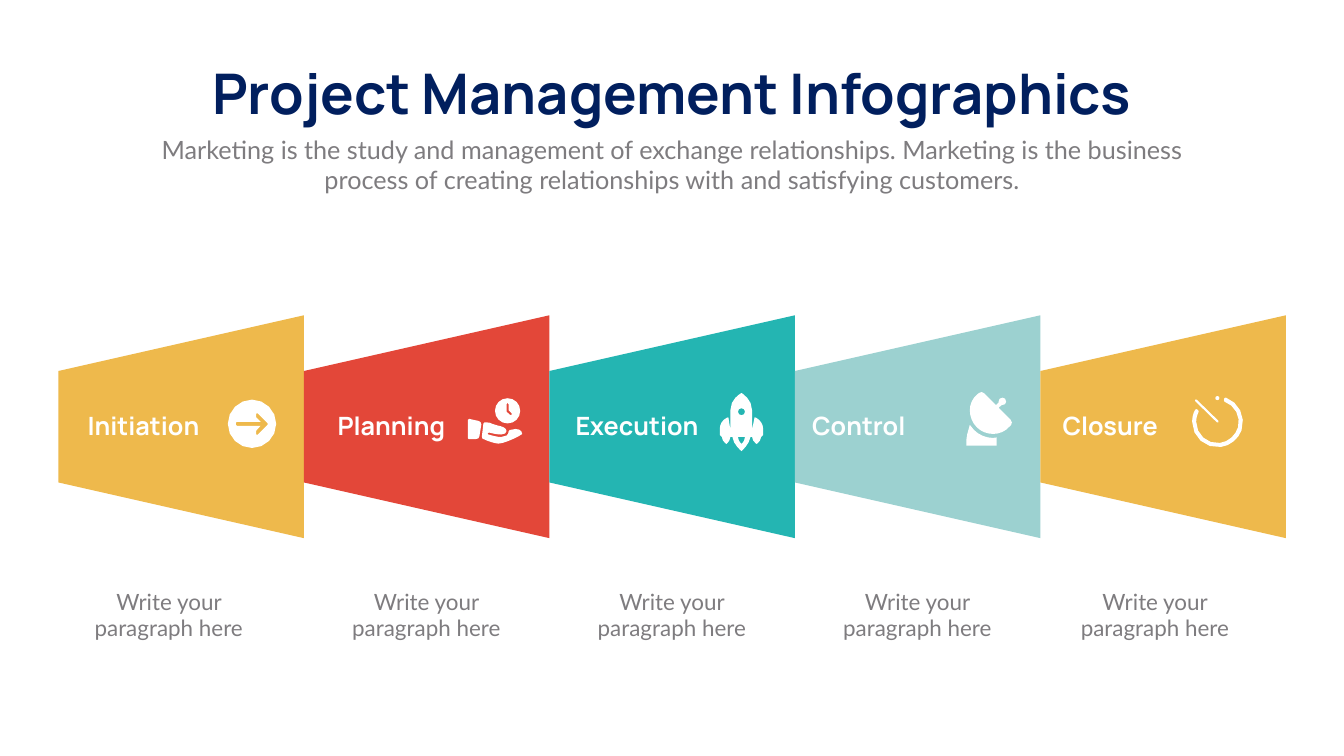
from dataclasses import dataclass
from math import ceil, dist

from pptx import Presentation
from pptx.dml.color import RGBColor
from pptx.enum.shapes import MSO_SHAPE as Preset
from pptx.enum.text import MSO_ANCHOR as Anchor, MSO_AUTO_SIZE as AutoSize, PP_ALIGN as Align
from pptx.util import Cm, Pt


@dataclass(frozen=True)
class Theme:
    navy: str = "011F5E"
    grey: str = "7E7C7F"
    white: str = "FFFFFF"
    yellow: str = "EEB94C"
    red: str = "E34739"
    teal: str = "24B5B2"
    aqua: str = "9CD1D0"
    heading_font: str = "Manrope"
    body_font: str = "Lato"
    title_size: int = 80
    lead_size: int = 36
    label_size: int = 36
    caption_size: int = 32


@dataclass(frozen=True)
class Step:
    label: str
    color: str
    label_left: float
    label_width: float
    label_align: Align
    caption_left: float
    icon_at: tuple
    icon: tuple


THEME = Theme()
ICON_UNIT = 0.0254
CHORD = 6
MAX_CHORDS = 4
POINT_COUNT = {"M": 1, "L": 1, "C": 3}

ARROW_DISC = (
    "M 0 48 C 0 75 22 96 48 96 C 74 96 96 75 96 48 C 96 22 74 0 48 0 C 22 0 0 22 0 48 "
    "M 59 27 L 79 47 L 79 50 L 59 70 L 56 69 L 56 62 L 65 52 L 18 52 L 16 50 L 16 46 "
    "L 18 44 L 65 44 L 56 35 L 56 28",
)
HAND_WITH_CLOCK = (
    "M 79 50 C 93 50 104 39 104 25 C 104 11 93 0 79 0 C 65 0 54 11 54 25 C 54 39 65 50 79 50 "
    "M 77 12 L 79 9 L 81 12 L 81 24 L 87 30 L 87 33 L 84 33 L 77 27",
    "M 21 45 L 3 41 L 0 43 L 0 79 L 2 81 L 16 81 C 20 81 23 79 23 76 L 27 52 "
    "C 27 49 25 45 21 45",
    "M 95 61 L 83 63 L 81 66 C 81 69 80 72 77 74 L 66 77 C 60 77 52 75 41 72 L 39 70 "
    "L 42 68 C 53 71 61 72 66 72 L 74 70 L 77 65 C 76 58 68 56 59 54 L 49 51 "
    "C 46 49 43 48 38 48 L 33 48 L 31 50 L 28 76 L 29 80 C 39 85 54 90 61 90 "
    "C 70 90 88 82 100 76 L 108 71 C 108 65 103 61 95 61",
)
ROCKET = (
    "M 72 49 L 69 48 L 64 73 L 64 34 C 64 12 45 2 45 1 L 43 0 L 41 1 "
    "C 40 2 21 12 21 34 L 21 73 L 17 48 L 14 49 C 5 53 0 62 0 71 L 0 83 L 4 87 "
    "C 4 95 13 101 13 101 C 13 101 21 95 21 87 L 25 87 C 27 103 43 115 43 115 "
    "C 43 115 58 103 61 87 L 64 87 C 64 95 73 101 73 101 C 73 101 82 95 82 87 "
    "L 86 83 L 86 71 C 86 62 80 53 72 49 "
    "M 43 30 C 47 30 50 33 50 37 C 50 41 47 44 43 44 C 39 44 36 41 36 37 C 36 33 39 30 43 30 "
    "M 43 101 C 43 101 36 95 36 87 L 50 87 C 50 95 43 101 43 101",
)
DISH = (
    "M 15 75 L 7 65 L 2 83 L 0 95 L 0 106 L 60 106 L 60 90 L 53 91 C 39 91 25 85 15 75",
    "M 88 55 L 64 31 L 70 26 C 76 26 79 23 79 19 C 79 14 76 11 72 11 "
    "C 67 11 64 14 64 19 L 64 21 L 59 26 L 35 2 C 33 -1 28 -1 25 2 L 21 5 "
    "C 12 13 7 24 7 36 C 7 49 12 61 21 70 C 29 78 41 83 53 83 C 66 83 77 78 85 69 "
    "L 89 65 C 91 62 91 58 88 55",
)
TIMER = (
    "M 54 4 L 53 7 L 50 8 L 47 7 L 46 4 L 47 1 L 50 0 L 53 1",
    "M 49 52 L 52 52 L 52 49 L 9 7 L 6 7 L 6 10",
    "M 67 3 L 64 4 L 63 8 L 64 11 C 84 18 97 40 91 62 "
    "C 86 78 72 91 55 93 C 30 96 8 76 8 51 C 8 44 10 37 13 31 L 12 28 "
    "L 9 26 L 6 27 C 2 34 0 42 0 51 C 0 81 26 105 57 101 "
    "C 75 99 92 85 98 68 C 107 40 92 12 67 3",
)

STEPS = (
    Step("Initiation", THEME.yellow, 3.84, 6.78, Align.CENTER, 3.68, (11.48, 20.14), ARROW_DISC),
    Step("Planning", THEME.red, 16.33, 6.78, Align.CENTER, 16.66, (23.57, 20.07), HAND_WITH_CLOCK),
    Step("Execution", THEME.teal, 28.75, 7.21, Align.LEFT, 29.03, (36.27, 19.81), ROCKET),
    Step("Control", THEME.aqua, 39.88, 6.78, Align.CENTER, 41.4, (48.69, 19.76), DISH),
    Step("Closure", THEME.yellow, 53.29, 6.78, Align.LEFT, 53.37, (60.07, 19.96), TIMER),
)


def place(shape, left, top, width, height):
    shape.left, shape.top, shape.width, shape.height = map(Cm, (left, top, width, height))


def write(shape, text, *, font, size, color, bold=False, align=Align.CENTER, wrap=True):
    frame = shape.text_frame
    frame.auto_size = AutoSize.NONE
    frame.word_wrap = wrap
    frame.vertical_anchor = Anchor.TOP
    paragraph = frame.paragraphs[0]
    paragraph.text = text
    paragraph.alignment = align
    style = paragraph.font
    style.name, style.size, style.bold = font, Pt(size), bold
    style.color.rgb = RGBColor.from_string(color)


def add_text(slide, box, text, **style):
    write(slide.shapes.add_textbox(*map(Cm, box)), text, **style)


def paint(shape, color):
    shape.shadow.inherit = False
    shape.fill.solid()
    shape.fill.fore_color.rgb = RGBColor.from_string(color)
    shape.line.fill.background()


def curve(start, first, second, end):
    chords = max(1, min(MAX_CHORDS, ceil(dist(start, end) / CHORD)))
    for chord in range(1, chords + 1):
        t = chord / chords
        weights = ((1 - t) ** 3, 3 * t * (1 - t) ** 2, 3 * t * t * (1 - t), t ** 3)
        yield tuple(
            sum(weight * value for weight, value in zip(weights, axis))
            for axis in zip(start, first, second, end)
        )


def trace(outline):
    contours = []
    tokens = iter(outline.split())
    for command in tokens:
        points = [(float(next(tokens)), float(next(tokens))) for _ in range(POINT_COUNT[command])]
        if command == "M":
            contours.append(points)
        elif command == "L":
            contours[-1].extend(points)
        else:
            contours[-1].extend(list(curve(contours[-1][-1], *points)))
    return [[(Cm(x * ICON_UNIT), Cm(y * ICON_UNIT)) for x, y in contour] for contour in contours]


def add_icon(slide, position, outlines):
    for outline in outlines:
        contours = trace(outline)
        builder = slide.shapes.build_freeform(*contours[0][0])
        for contour in contours:
            if contour is not contours[0]:
                builder.move_to(*contour[0])
            builder.add_line_segments(contour[1:], close=True)
        paint(builder.convert_to_shape(*map(Cm, position)), THEME.white)


def add_step(slide, index, step):
    funnel = slide.shapes.add_shape(
        Preset.TRAPEZOID, Cm(3.51 + index * 12.37), Cm(15.32), Cm(11.23), Cm(12.37))
    funnel.rotation = 270
    paint(funnel, step.color)
    add_text(slide, (step.caption_left, 29.49, 9.65, 3), "Write your paragraph here",
             font=THEME.body_font, size=THEME.caption_size, color=THEME.grey)
    add_text(slide, (step.label_left, 20.57, step.label_width, 1.8), step.label,
             font=THEME.heading_font, size=THEME.label_size, color=THEME.white,
             bold=True, align=step.label_align)
    add_icon(slide, step.icon_at, step.icon)


def main():
    deck = Presentation()
    deck.slide_width, deck.slide_height = Cm(67.72), Cm(38.1)
    slide = deck.slides.add_slide(deck.slide_layouts[5])
    title = slide.shapes.title
    place(title, 8.53, 2.84, 50.67, 3.68)
    write(title, "Project Management Infographics", font=THEME.heading_font,
          size=THEME.title_size, color=THEME.navy, bold=True, wrap=False)
    add_text(slide, (7.42, 6.63, 52.88, 3.33),
             "Marketing is the study and management of exchange relationships. "
             "Marketing is the business process of creating relationships with "
             "and satisfying customers.",
             font=THEME.body_font, size=THEME.lead_size, color=THEME.grey)
    for index, step in enumerate(STEPS):
        add_step(slide, index, step)
    deck.save("out.pptx")


if __name__ == "__main__":
    main()
